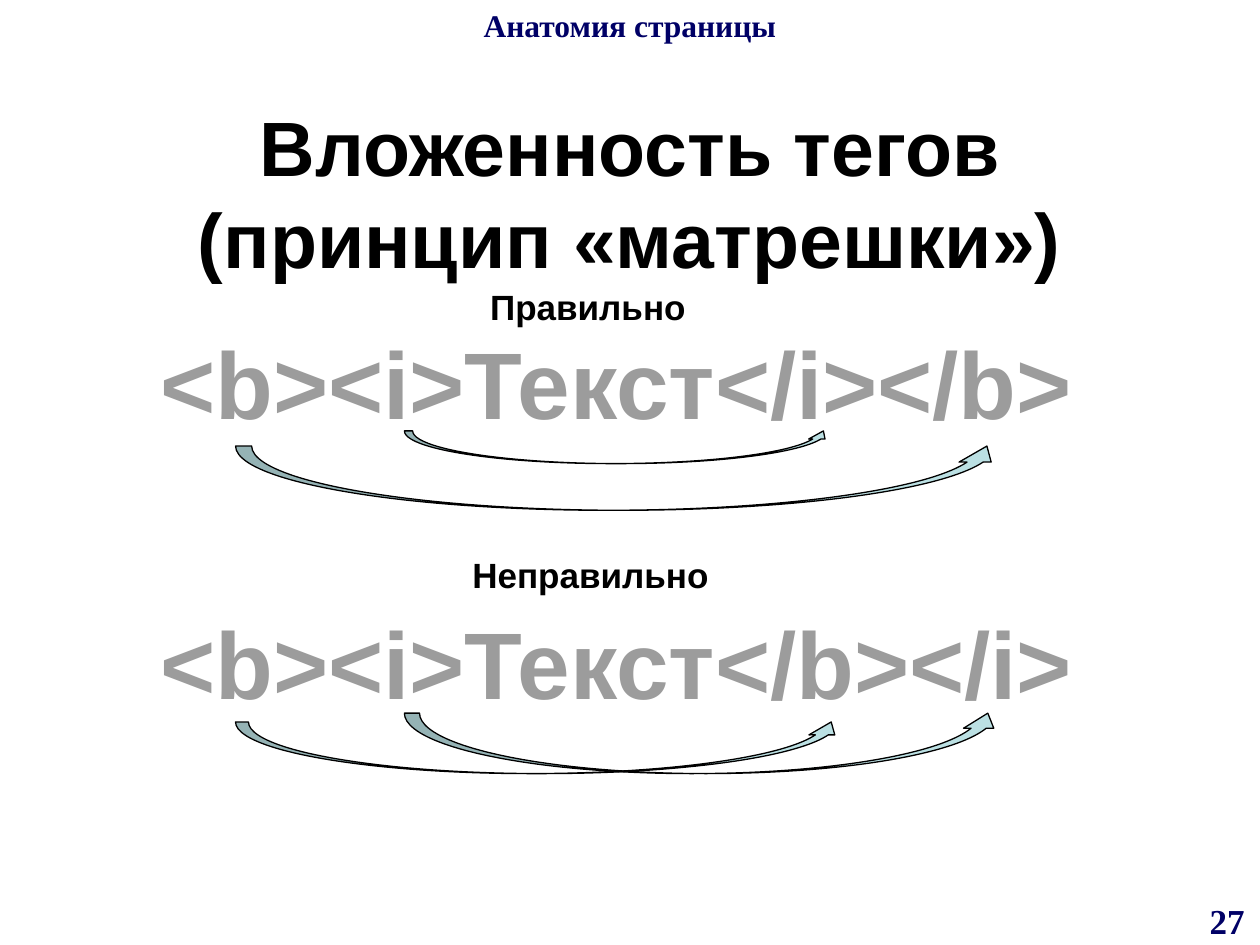
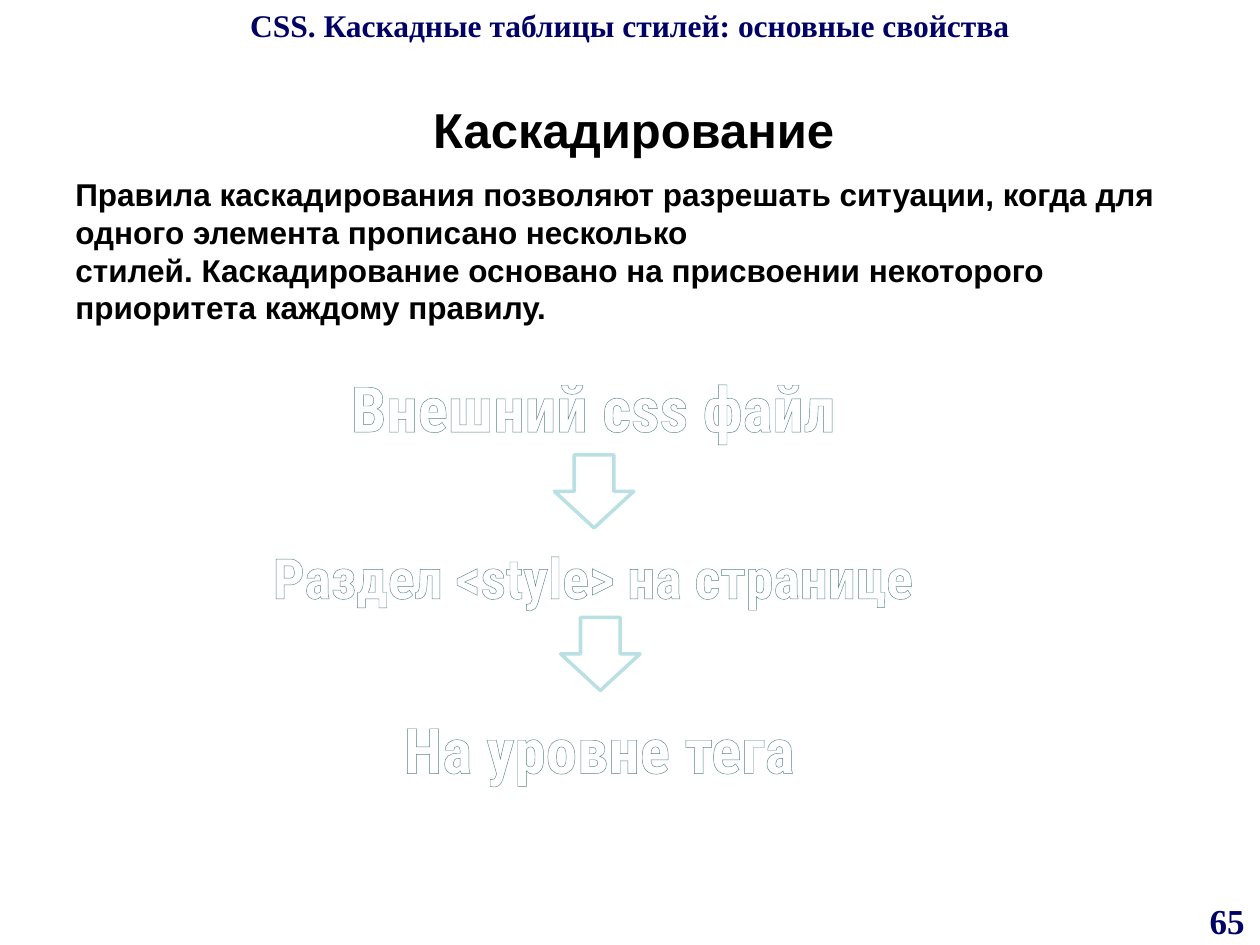
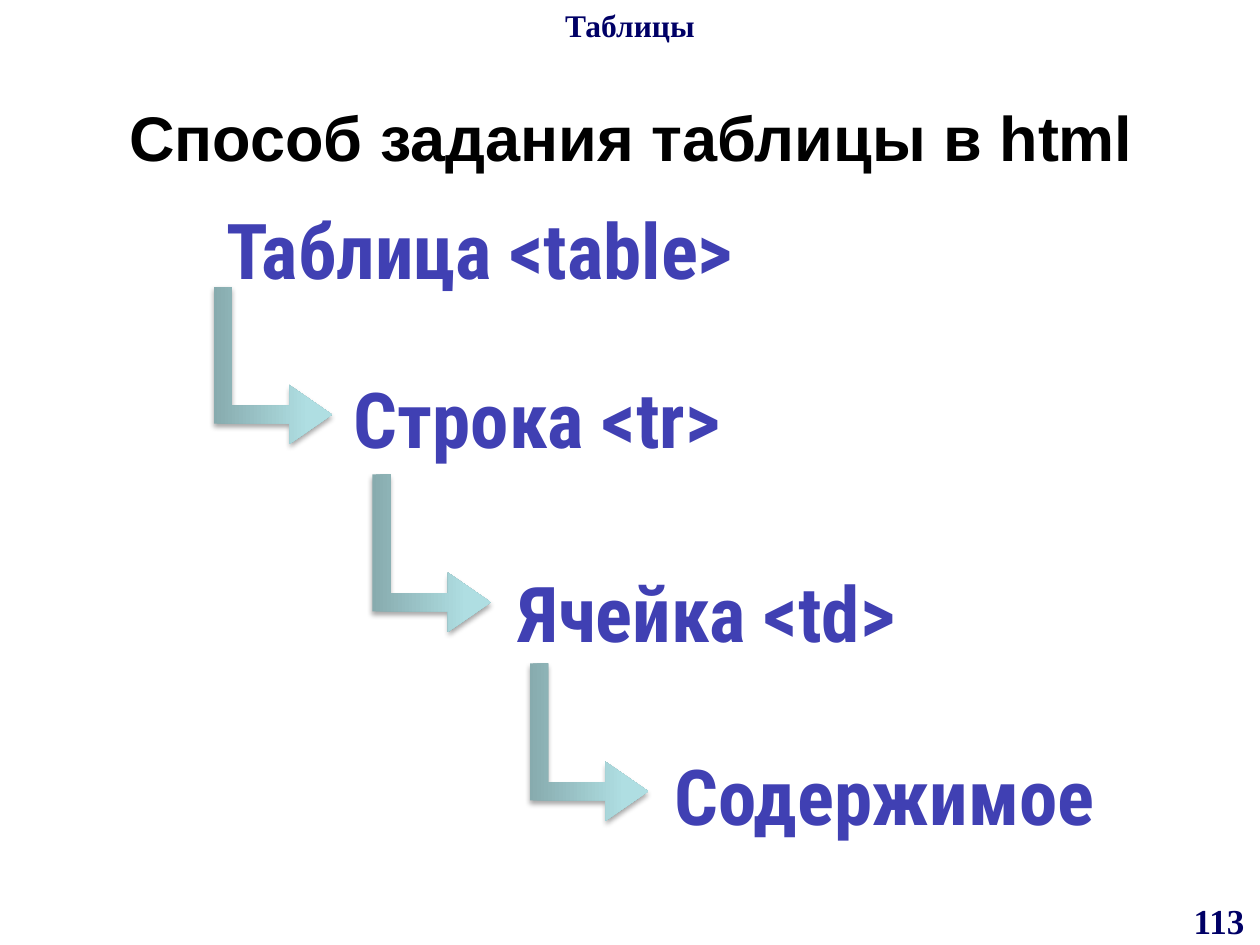
from typing import NamedTuple

from lxml import etree
from pptx import Presentation
from pptx.dml.color import RGBColor
from pptx.enum.shapes import MSO_SHAPE as Shape
from pptx.enum.text import MSO_ANCHOR as Anchor, MSO_AUTO_SIZE as AutoSize, PP_ALIGN as Align
from pptx.oxml import parse_xml
from pptx.oxml.ns import nsdecls, qn
from pptx.util import Inches, Pt

NAVY, BLACK, WHITE, GREY = "000066", "000000", "FFFFFF", "9C9C9C"
AQUA, DARK_AQUA = "BBE0E3", "588487"
SANS, SERIF, CONDENSED = "Arial", "Times New Roman", "Roboto Condensed"
NO_BREAK_SPACE = chr(160)


class Box(NamedTuple):
    left: float
    top: float
    width: float
    height: float


class Style(NamedTuple):
    size: float
    font: str = SANS
    color: str = BLACK
    align: Align = Align.CENTER
    wrap: bool = True
    grow: bool = False


class Gradient(NamedTuple):
    stops: tuple[tuple[int, str], ...]
    angle: int


class Outline(NamedTuple):
    color: str
    width: float


class Label(NamedTuple):
    text: str
    box: Box
    size: float = 44


HEADER = Style(18, SERIF, NAVY)
NUMBER = Style(20, SERIF, NAVY)
BODY = Style(18, align=Align.LEFT)
CAPTION = Style(20, align=Align.LEFT, grow=True)
TAGS = Style(54, color=GREY, wrap=False, grow=True)
BLUE_FADE = Gradient(((0, "00005B"), (78, "4040B3"), (100, "EFEFF7")), 90)
AQUA_FADE = Gradient(((0, "87ABAE"), (80, "AFDEE2"), (100, "AFE0E4")), 270)


def rgb(color: str) -> RGBColor:
    return RGBColor.from_string(color)


def place(box: Box) -> list[int]:
    return [Inches(v) for v in box]


def add_text(s, text: str, box: Box, style: Style, indent: float = 0.1):
    tf = s.shapes.add_textbox(*place(box)).text_frame
    frame_format = {
        "word_wrap": style.wrap,
        "auto_size": AutoSize.SHAPE_TO_FIT_TEXT if style.grow else AutoSize.NONE,
        "vertical_anchor": Anchor.TOP,
        "margin_left": Inches(indent),
    }
    for name, value in frame_format.items():
        setattr(tf, name, value)
    p = tf.paragraphs[0]
    p.alignment = style.align
    r = p.add_run()
    r.text = text
    font_format = {"size": Pt(style.size), "name": style.font, "bold": True}
    for name, value in font_format.items():
        setattr(r.font, name, value)
    r.font.color.rgb = rgb(style.color)
    return r


def outline_text(r, outline: Outline) -> None:
    ln = parse_xml(
        f'<a:ln {nsdecls("a")} w="{Pt(outline.width)}"><a:solidFill>'
        f'<a:srgbClr val="{outline.color}"/></a:solidFill></a:ln>'
    )
    r.font._element.insert(0, ln)


def fill_gradient(fill, parent, gradient: Gradient) -> None:
    fill.gradient()
    grad = parent.find(qn("a:gradFill"))
    for child in list(grad):
        grad.remove(child)
    stops = etree.SubElement(grad, qn("a:gsLst"))
    for position, color in gradient.stops:
        stop = etree.SubElement(stops, qn("a:gs"), pos=str(position * 1000))
        etree.SubElement(stop, qn("a:srgbClr"), val=color)
    etree.SubElement(grad, qn("a:lin"), ang=str(gradient.angle * 60000), scaled="0")


def add_arrow(s, kind: Shape, box: Box, fill: str, line: Outline) -> None:
    sp = s.shapes.add_shape(kind, *place(box))
    sp.shadow.inherit = False
    sp.fill.solid()
    sp.fill.fore_color.rgb = rgb(fill)
    sp.line.color.rgb = rgb(line.color)
    sp.line.width = Pt(line.width)


def add_step_arrow(s, box: Box) -> None:
    sp = s.shapes.add_shape(Shape.BENT_UP_ARROW, *place(box))
    sp.rotation = 90
    for i, value in enumerate((0.155, 0.25, 0.361)):
        sp.adjustments[i] = value
    sp.line.fill.background()
    sp.shadow.inherit = False
    props = sp._element.spPr
    fill_gradient(sp.fill, props, AQUA_FADE)
    shadow = parse_xml(
        f'<a:outerShdw {nsdecls("a")} blurRad="{Pt(3.1)}" dist="{Pt(1.8)}" dir="5400000" '
        f'rotWithShape="0"><a:srgbClr val="{BLACK}"><a:alpha val="35000"/></a:srgbClr>'
        "</a:outerShdw>"
    )
    props.find(qn("a:effectLst")).append(shadow)


def add_page(prs, header: str, number: int, title: Label):
    s = prs.slides.add_slide(prs.slide_layouts[6])
    width = 0.52 if number < 100 else 0.65
    add_text(s, str(number), Box(10 - width, 7.09, width, 0.41), NUMBER)
    add_text(s, header, Box(0, 0, 10, 0.63), HEADER)
    add_text(s, title.text, title.box, Style(title.size))
    return s


def build_nesting(prs) -> None:
    title = Label("Вложенность тегов (принцип «матрешки»)", Box(0.5, 0.74, 9, 1.25))
    s = add_page(prs, "Анатомия страницы", 27, title)
    examples = (
        ("<b><i>Текст</i></b>", 2.53, (Box(1.87, 3.54, 6.09, 0.51), Box(3.21, 3.42, 3.39, 0.26))),
        ("<b><i>Текст</b></i>", 4.75, (Box(1.87, 5.73, 4.83, 0.41), Box(3.21, 5.66, 4.75, 0.48))),
    )
    for tags, top, arrows in examples:
        r = add_text(s, tags, Box(1.14, top, 7.51, 1.01), TAGS)
        outline_text(r, Outline(BLACK, 1))
        for box in arrows:
            add_arrow(s, Shape.CURVED_UP_ARROW, box, AQUA, Outline(BLACK, 0.75))
    add_text(s, "Правильно", Box(3.56, 2.22, 4.31, 0.44), CAPTION, indent=0.33)
    add_text(s, "Неправильно", Box(3.65, 4.34, 4.31, 0.44), CAPTION)


def build_cascade(prs) -> None:
    title = Label("Каскадирование", Box(0.53, 0.74, 9, 0.62), 28)
    s = add_page(prs, "CSS. Каскадные таблицы стилей: основные свойства", 65, title)
    unbroken = NO_BREAK_SPACE.join(("стилей.", "Каскадирование", "основано"))
    rule = (
        "Правила каскадирования позволяют разрешать ситуации, когда для одного элемента "
        f"прописано несколько {unbroken} на присвоении некоторого "
        "приоритета каждому правилу."
    )
    add_text(s, rule, Box(0.5, 1.34, 9, 4.92), BODY)
    levels = (
        Label("Внешний css файл", Box(2.53, 2.88, 4.36, 0.71), 36),
        Label("Раздел <style> на странице", Box(1.92, 4.26, 5.58, 0.64), 32),
        Label("На уровне тега", Box(3.08, 5.59, 3.35, 0.71), 36),
    )
    for level in levels:
        style = Style(level.size, CONDENSED, WHITE, wrap=False, grow=True)
        outline_text(add_text(s, level.text, level.box, style), Outline(DARK_AQUA, 2.48))
    for left, top in ((4.4, 3.61), (4.45, 4.9)):
        add_arrow(s, Shape.DOWN_ARROW, Box(left, top, 0.63, 0.58), WHITE, Outline(AQUA, 2))


def build_table_steps(prs) -> None:
    title = Label("Способ задания таблицы в html", Box(0.51, 0.73, 9, 1.25), 36)
    s = add_page(prs, "Таблицы", 113, title)
    steps = (
        Label("Таблица <table>", Box(1.54, 1.56, 4.54, 0.84)),
        Label("Строка <tr>", Box(2.64, 2.9, 3.25, 0.84)),
        Label("Ячейка <td>", Box(3.9, 4.44, 3.42, 0.84)),
        Label("Содержимое", Box(5.15, 5.89, 3.74, 0.84)),
    )
    for left, top in ((1.54, 2.43), (2.8, 3.92), (4.05, 5.42)):
        add_step_arrow(s, Box(left, top, 1.25, 0.94))
    for step in steps:
        style = Style(step.size, CONDENSED, wrap=False, grow=True)
        r = add_text(s, step.text, step.box, style)
        fill_gradient(r.font.fill, r.font._element, BLUE_FADE)


def main() -> None:
    prs = Presentation()
    prs.slide_width, prs.slide_height = Inches(10), Inches(7.5)
    for build in (build_nesting, build_cascade, build_table_steps):
        build(prs)
    prs.save("out.pptx")


if __name__ == "__main__":
    main()
